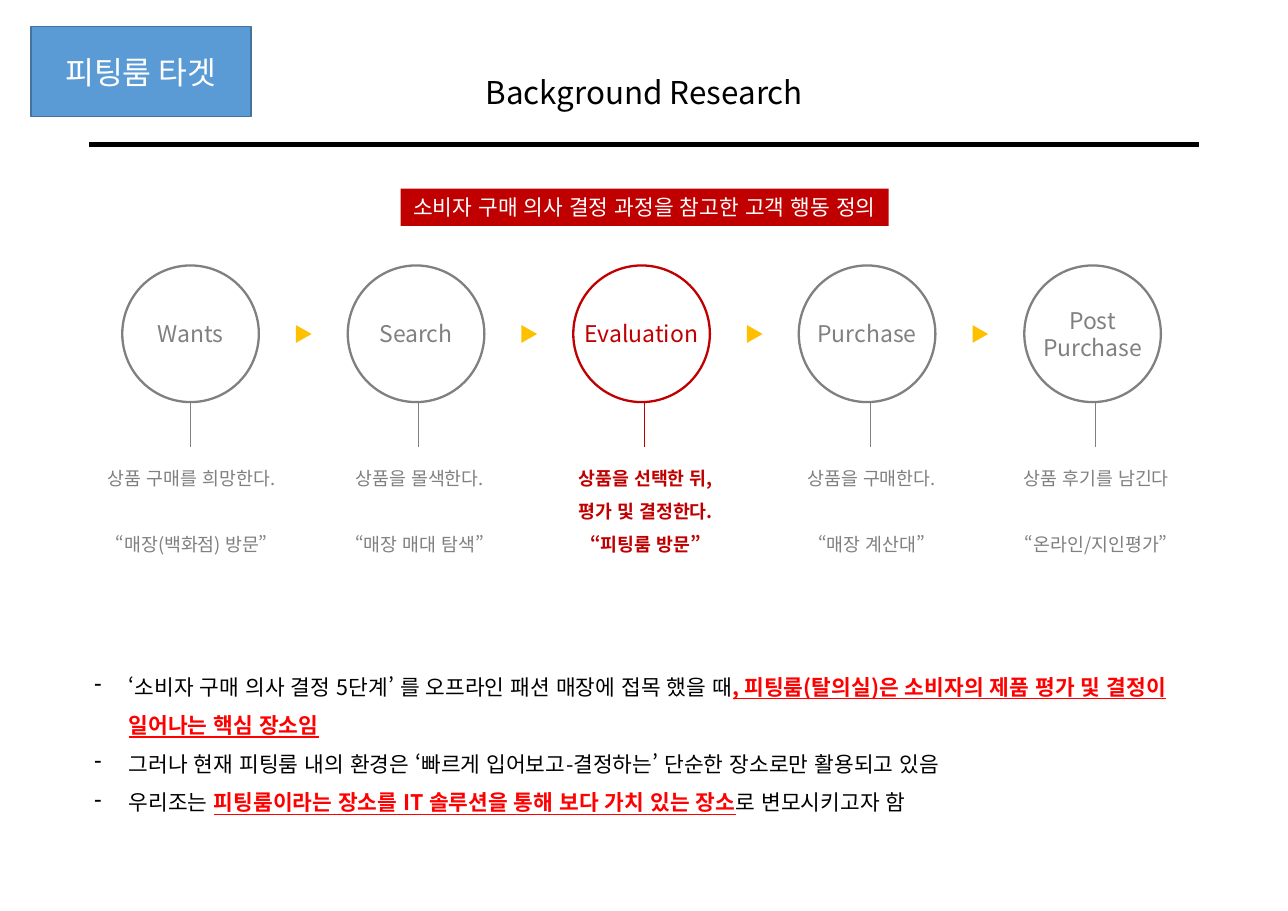
"""Build the fitting room target slide with its five purchase decision stages."""
from dataclasses import dataclass
from typing import Any, Optional

import lxml.etree
import pptx
import pptx.dml.color
import pptx.enum.lang
import pptx.enum.shapes
import pptx.enum.text
import pptx.oxml.ns
import pptx.util

Cm = pptx.util.Cm
Pt = pptx.util.Pt
Shapes = pptx.enum.shapes.MSO_SHAPE
Align = pptx.enum.text.PP_ALIGN
Anchor = pptx.enum.text.MSO_ANCHOR
AutoSize = pptx.enum.text.MSO_AUTO_SIZE


@dataclass(frozen=True)
class Theme:
    """Colours, fonts and type sizes of the slide."""
    font: str = "Noto Sans CJK KR"
    tag_font: str = "Calibri"
    black: str = "000000"
    white: str = "FFFFFF"
    gray: str = "808080"
    crimson: str = "C00000"
    red: str = "FF0000"
    amber: str = "FFC000"
    blue: str = "5B9BD5"
    blue_edge: str = "43739E"
    title: float = 20.5
    stage: float = 15
    body: float = 14
    caption: float = 12
    caption_gap: float = 21.6


THEME = Theme()


@dataclass(frozen=True)
class Box:
    """Place and size in centimetres."""
    left: float
    top: float
    width: float
    height: float

    def lengths(self) -> list[pptx.util.Length]:
        """Return the four values as lengths."""
        return [Cm(value) for value in (self.left, self.top, self.width, self.height)]


@dataclass(frozen=True)
class Run:
    """Piece of text with its look."""
    text: str
    size: float
    color: str
    bold: bool = False
    underline: bool = False
    font: str = THEME.font


@dataclass(frozen=True)
class Line:
    """Paragraph made of runs."""
    runs: tuple[Run, ...]
    align: Optional[Align] = Align.CENTER
    spacing: Optional[float] = None
    before: float = 0
    bullet: str = ""


@dataclass(frozen=True)
class Stage:
    """Step of the purchase decision."""
    name: tuple[str, ...]
    caption: tuple[str, ...]
    stem: float
    caption_width: float
    active: bool = False


STAGES = (
    Stage(("Wants",), ("상품 구매를 희망한다.", "“매장(백화점) 방문”"), 4.39, 4.37),
    Stage(("Search",), ("상품을 몰색한다.", "“매장 매대 탐색”"), 9.65, 3.48),
    Stage(("Evaluation",), ("상품을 선택한 뒤,", "평가 및 결정한다.", "“피팅룸 방문”"), 14.86, 3.71, True),
    Stage(("Purchase",), ("상품을 구매한다.", "“매장 계산대”"), 20.07, 3.48),
    Stage(("Post", "Purchase"), ("상품 후기를 남긴다", "“온라인/지인평가”"), 25.25, 3.89),
)
STAGE_PITCH = 5.2
CIRCLE = Box(2.82, 6.12, 3.15, 3.15)
ARROW = Box(6.8, 7.52, 0.41, 0.36)
STEM_END = 10.31

FINDINGS = (
    (("‘소비자 구매 의사 결정 5단계’ 를 오프라인 패션 매장에 접목 했을 때", False),
     (", 피팅룸(탈의실)은 소비자의 제품 평가 및 결정이 일어나는 핵심 장소임", True)),
    (("그러나 현재 피팅룸 내의 환경은 ‘빠르게 입어보고-결정하는’ 단순한 장소로만 활용되고 있음", False),),
    (("우리조는 ", False),
     ("피팅룸이라는 장소를 IT 솔루션을 통해 보다 가치 있는 장소", True),
     ("로 변모시키고자 함", False)),
)


def rgb(color: str) -> pptx.dml.color.RGBColor:
    """Turn a hex string into a colour."""
    return pptx.dml.color.RGBColor.from_string(color)


def apply(target: Any, formats: dict[str, Any]) -> None:
    """Set each format value on the target."""
    for name, value in formats.items():
        setattr(target, name, value)


def write(shape: Any, lines: list[Line], **frame_formats: Any) -> None:
    """Fill the text frame of a shape with formatted paragraphs."""
    frame = shape.text_frame
    apply(frame, {"word_wrap": True, "vertical_anchor": Anchor.TOP, **frame_formats})
    for index, line in enumerate(lines):
        paragraph = frame.add_paragraph() if index else frame.paragraphs[0]
        apply(paragraph, {"alignment": line.align, "line_spacing": line.spacing})
        if line.before:
            paragraph.space_before = Pt(line.before)
        if line.bullet:
            properties = paragraph._p.get_or_add_pPr()
            properties.set("marL", str(Cm(0.79)))
            properties.set("indent", str(-Cm(0.79)))
            lxml.etree.SubElement(properties, pptx.oxml.ns.qn("a:buChar"), char=line.bullet)
        for piece in line.runs:
            run = paragraph.add_run()
            run.text = piece.text
            apply(run.font, {"size": Pt(piece.size), "bold": piece.bold,
                             "underline": piece.underline, "name": piece.font,
                             "language_id": pptx.enum.lang.MSO_LANGUAGE_ID.KOREAN})
            run.font.color.rgb = rgb(piece.color)
            lxml.etree.SubElement(run._r.get_or_add_rPr(), pptx.oxml.ns.qn("a:ea"),
                                  typeface=piece.font)


def add_shape(slide: Any, kind: Shapes, box: Box, fill: str = "",
              edge: str = "", edge_width: float = 1) -> Any:
    """Draw a flat preset shape."""
    shape = slide.shapes.add_shape(kind, *box.lengths())
    shape.shadow.inherit = False
    if fill:
        shape.fill.solid()
        shape.fill.fore_color.rgb = rgb(fill)
    else:
        shape.fill.background()
    if edge:
        shape.line.color.rgb = rgb(edge)
        shape.line.width = Pt(edge_width)
    else:
        shape.line.fill.background()
    return shape


def add_line(slide: Any, start: tuple[float, float], end: tuple[float, float],
             color: str, width: float) -> None:
    """Draw a flat straight line."""
    connector = slide.shapes.add_connector(
        pptx.enum.shapes.MSO_CONNECTOR.STRAIGHT, *(Cm(value) for value in start + end))
    connector.line.color.rgb = rgb(color)
    connector.line.width = Pt(width)
    lxml.etree.SubElement(connector._element.spPr, pptx.oxml.ns.qn("a:effectLst"))


def add_stage(slide: Any, index: int, stage: Stage) -> None:
    """Draw a stage circle with its stem, caption and following arrow."""
    color = THEME.crimson if stage.active else THEME.gray
    shift = index * STAGE_PITCH
    circle = add_shape(slide, Shapes.OVAL,
                       Box(CIRCLE.left + shift, CIRCLE.top, CIRCLE.width, CIRCLE.height),
                       edge=color, edge_width=1.5)
    write(circle, [Line((Run(name, THEME.stage, color),)) for name in stage.name],
          word_wrap=False, vertical_anchor=Anchor.MIDDLE)
    add_line(slide, (stage.stem, CIRCLE.top + CIRCLE.height), (stage.stem, STEM_END), color, 0.5)
    caption = slide.shapes.add_textbox(
        *Box(stage.stem - stage.caption_width / 2 + 0.03, 10.39, stage.caption_width, 2.57).lengths())
    gap = 0 if stage.active else THEME.caption_gap
    write(caption, [Line((Run(text, THEME.caption, color, bold=stage.active),), spacing=1.5,
                         before=gap if position else 0)
                    for position, text in enumerate(stage.caption)],
          word_wrap=False, auto_size=AutoSize.SHAPE_TO_FIT_TEXT)
    if index < len(STAGES) - 1:
        arrow = add_shape(slide, Shapes.ISOSCELES_TRIANGLE,
                          Box(ARROW.left + shift, ARROW.top, ARROW.width, ARROW.height), THEME.amber)
        arrow.rotation = 90


def main() -> None:
    """Build and save the slide."""
    presentation = pptx.Presentation()
    apply(presentation, {"slide_width": Cm(29.7), "slide_height": Cm(21)})
    slide = presentation.slides.add_slide(presentation.slide_layouts[6])

    findings = slide.shapes.add_textbox(*Box(1.93, 15.11, 25.83, 3.84).lengths())
    write(findings, [Line(tuple(Run(text, THEME.body, THEME.red if key else THEME.black, key, key)
                                for text, key in pieces), None, 1.5, bullet="-")
                     for pieces in FINDINGS], auto_size=AutoSize.SHAPE_TO_FIT_TEXT)

    banner = add_shape(slide, Shapes.RECTANGLE, Box(9.24, 4.35, 11.25, 0.86), THEME.crimson)
    write(banner, [Line((Run("소비자 구매 의사 결정 과정을 참고한 고객 행동 정의", THEME.body, THEME.white),))],
          word_wrap=False, auto_size=AutoSize.SHAPE_TO_FIT_TEXT)

    for index, stage in enumerate(STAGES):
        add_stage(slide, index, stage)

    title = slide.shapes.add_textbox(*Box(6.2, 1.57, 17.32, 1.14).lengths())
    write(title, [Line((Run("Background Research", THEME.title, THEME.black),))],
          auto_size=AutoSize.SHAPE_TO_FIT_TEXT)
    add_line(slide, (2.06, 3.33), (27.64, 3.33), THEME.black, 3)

    tag = add_shape(slide, Shapes.RECTANGLE, Box(0.71, 0.61, 5.08, 2.08), THEME.blue, THEME.blue_edge)
    write(tag, [Line((Run("피팅룸 타겟", THEME.title, THEME.white, font=THEME.tag_font),))],
          vertical_anchor=Anchor.MIDDLE)

    presentation.save("out.pptx")


if __name__ == "__main__":
    main()
